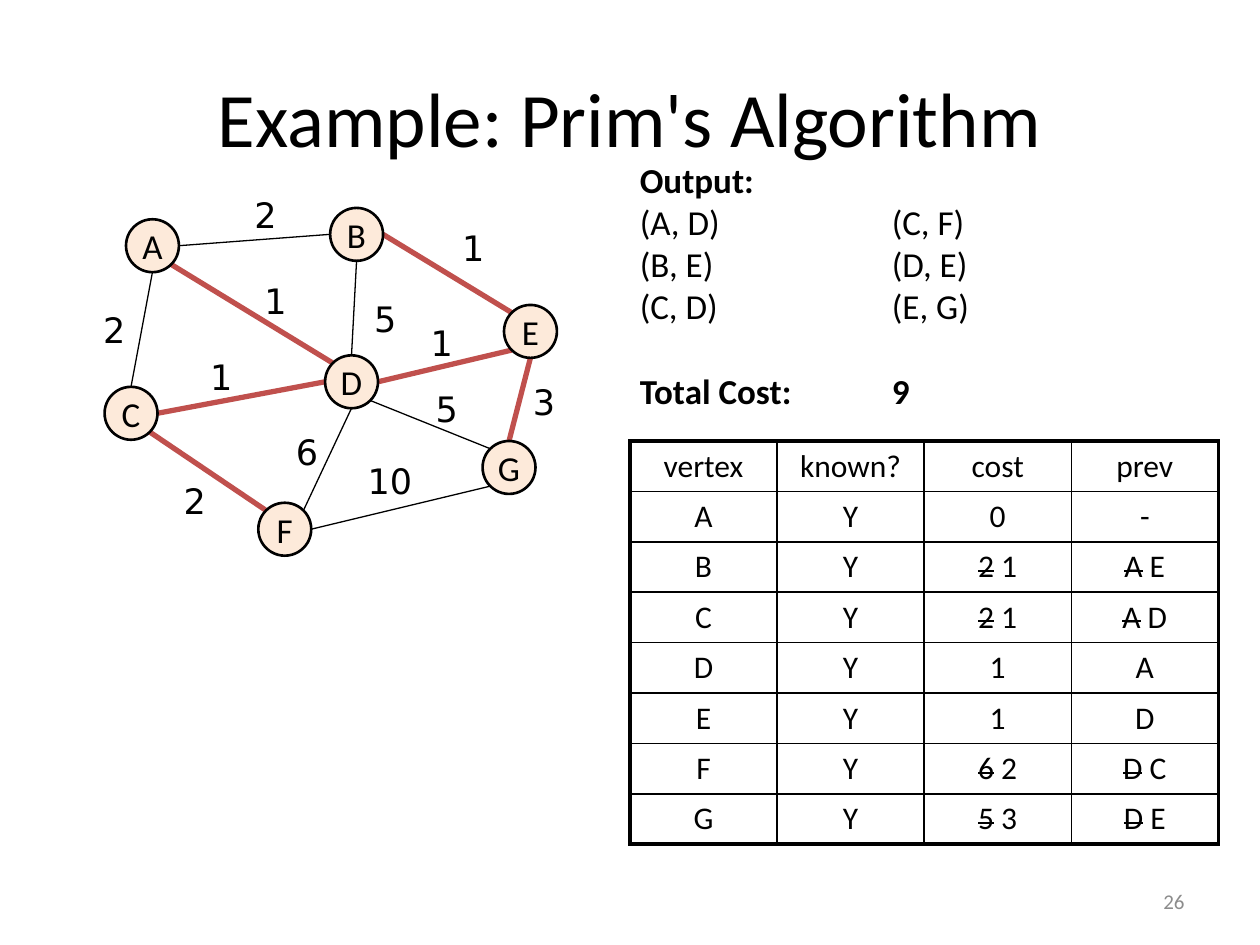
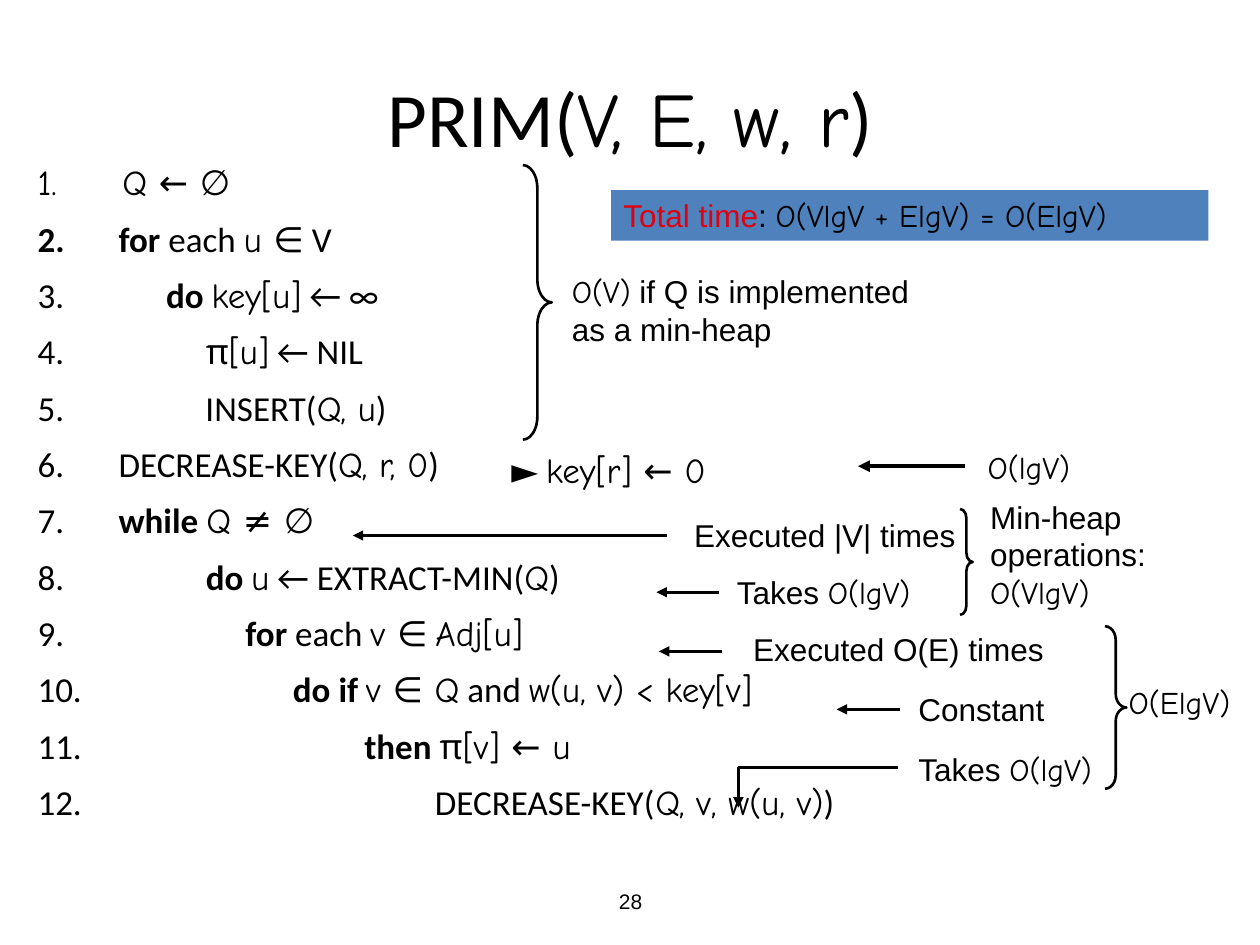
from math import cos, radians, sin

from lxml import etree
from pptx import Presentation
from pptx.dml.color import RGBColor
from pptx.enum.shapes import MSO_CONNECTOR, MSO_SHAPE
from pptx.enum.text import MSO_ANCHOR, PP_ALIGN
from pptx.oxml.ns import qn
from pptx.util import Inches, Pt

STRAIGHT = MSO_CONNECTOR.STRAIGHT
OVAL, BRACE, RECTANGLE = MSO_SHAPE.OVAL, MSO_SHAPE.RIGHT_BRACE, MSO_SHAPE.RECTANGLE
TOP, MIDDLE = MSO_ANCHOR.TOP, MSO_ANCHOR.MIDDLE
LEFT, CENTER, RIGHT = PP_ALIGN.LEFT, PP_ALIGN.CENTER, PP_ALIGN.RIGHT

BLACK = RGBColor(0x00, 0x00, 0x00)
GREY = RGBColor(0x8C, 0x8C, 0x8C)
TREE_RED = RGBColor(0xC0, 0x50, 0x4D)
NODE_CREAM = RGBColor(0xFD, 0xEA, 0xDA)
TOTAL_BLUE = RGBColor(0x4F, 0x81, 0xBD)
TOTAL_RED = RGBColor(0xDD, 0x01, 0x11)

BODY, NOTE, FORMULA, WEIGHT = "Calibri", "Arial", "Comic Neue", "DejaVu Sans"
MATH = {"name": FORMULA}
BOLD = {"bold": True}
STRUCK = {"strike": True}
RED = {"color": TOTAL_RED}

NODE_SIZE = 0.42
NODES = {
    "A": (1, 1.74), "B": (2.62, 1.65), "C": (0.83, 3.07), "D": (2.58, 2.82),
    "F": (2.05, 3.99), "E": (4, 2.42), "G": (3.83, 3.5),
}
ANGLES = {"e": 0, "se": 45, "s": 90, "sw": 135, "w": 180, "nw": 225, "n": 270, "ne": 315}
EDGES = [
    ("A", "s", "C", "n", "2", (0.72, 2.4), False),
    ("B", "w", "A", "e", "2", (1.92, 1.49), False),
    ("D", "n", "B", "s", "5", (2.87, 2.31), False),
    ("A", "se", "D", "nw", "1", (2, 2.17), True),
    ("C", "e", "D", "w", "1", (1.57, 2.77), True),
    ("D", "e", "E", "sw", "1", (3.32, 2.5), True),
    ("E", "nw", "B", "e", "1", (3.57, 1.75), True),
    ("C", "se", "F", "nw", "2", (1.36, 3.76), True),
    ("D", "s", "F", "ne", "6", (2.25, 3.37), False),
    ("D", "se", "G", "nw", "5", (3.36, 3.03), False),
    ("G", "n", "E", "s", "3", (4.13, 2.97), True),
    ("F", "e", "G", "sw", "10", (2.82, 3.6), False),
]
VERTICES = [
    ["vertex", "known?", "cost", "prev"],
    ["A", "Y", "0", "-"],
    ["B", "Y", [("2", STRUCK), " 1"], [("A", STRUCK), " E"]],
    ["C", "Y", [("2", STRUCK), " 1"], [("A", STRUCK), " D"]],
    ["D", "Y", "1", "A"],
    ["E", "Y", "1", "D"],
    ["F", "Y", [("6", STRUCK), " 2"], [("D", STRUCK), " C"]],
    ["G", "Y", [("5", STRUCK), " 3"], [("D", STRUCK), " E"]],
]

PSEUDOCODE = [
    [(" Q ← ∅", MATH)],
    [(" for ", BOLD), "each ", ("u ", MATH), "∈ V"],
    ["       ", ("do ", BOLD), ("key[u]", MATH), " ← ∞"],
    ["            ", ("π[u]", MATH), " ← NIL"],
    ["            INSERT(", ("Q, u", MATH), ")"],
    [" DECREASE-KEY(", ("Q, r, 0", MATH), ")"],
    [" ", ("while ", BOLD), ("Q ≠ ∅", MATH)],
    ["            ", ("do ", BOLD), ("u", MATH), " ← EXTRACT-MIN(", ("Q", MATH), ")"],
    ["                 ", ("for ", BOLD), "each ", ("v ", MATH), "∈ ", ("Adj[u]", MATH)],
    ["                       ", ("do if ", BOLD), ("v ∈ Q", MATH), " and ",
     ("w(u, v) < key[v]", MATH)],
    ["                                ", ("then ", BOLD), ("π[v] ← u", MATH)],
    ["                                         DECREASE-KEY(",
     ("Q, v, w(u, v)", MATH), ")"],
]
TAKES_LOG = ["Takes ", ("O(lgV)", MATH)]
COST_NOTES = [
    ((4.44, 2.11, 3.14, 0.7), [[("O(V)", MATH), " if Q is implemented as a min-heap"]]),
    ((5.41, 4.05, 2.35, 0.4), ["Executed |V| times"]),
    ((5.75, 4.5, 1.78, 0.4), [TAKES_LOG]),
    ((7.76, 3.9, 1.8, 1), ["Min-heap operations:", [("O(VlgV)", MATH)]]),
    ((5.88, 4.95, 2.57, 0.4), ["Executed O(E) times"]),
    ((7.19, 5.43, 1.28, 0.4), ["Constant"]),
    ((7.19, 5.9, 1.78, 0.4), [TAKES_LOG]),
    ((8.86, 5.37, 1.14, 0.4), [[("O(ElgV)", MATH)]]),
    ((7.74, 3.51, 1.2, 0.4), [[("O(lgV)", MATH)]]),
]
COST_ARROWS = [
    ((5.29, 4.25), (2.8, 4.25), 1.5),
    ((5.71, 4.7), (5.21, 4.7), 1.5),
    ((5.73, 5.17), (5.23, 5.17), 1.5),
    ((7.14, 5.63), (6.64, 5.63), 1.5),
    ((5.86, 6.09), (5.86, 6.41), 1.5),
    ((7.66, 3.7), (6.81, 3.7), 2.25),
]
COST_BRACES = [
    ((4.15, 1.31, 0.23, 2.18), 0.8),
    ((7.62, 4.04, 0.1, 0.84), 0.72),
    ((8.77, 4.97, 0.17, 1.29), 0.64),
]


def node_site(node, side):
    """Return the point on a node's rim at a compass side."""
    left, top = NODES[node]
    radius, angle = NODE_SIZE / 2, radians(ANGLES[side])
    return left + radius * (1 + cos(angle)), top + radius * (1 + sin(angle))


class LectureDeck:
    """Holds the lecture's style and the slide being filled."""

    def __init__(self):
        self.deck = Presentation()
        self.deck.slide_width, self.deck.slide_height = Inches(10), Inches(7.5)
        self.shapes = None

    def start_slide(self, title):
        self.shapes = self.deck.slides.add_slide(self.deck.slide_layouts[6]).shapes
        self.text((0.5, 0.3, 9, 1.25), [title], size=44, align=CENTER, anchor=MIDDLE)

    def fill_paragraph(self, paragraph, content, size, font=BODY, color=BLACK, align=LEFT):
        paragraph.alignment = align
        paragraph.font.size = Pt(size)
        paragraph.font.name = font
        paragraph.font.color.rgb = color
        for part in [content] if isinstance(content, str) else content:
            words, look = (part, {}) if isinstance(part, str) else part
            run = paragraph.add_run()
            run.text = words
            if "name" in look:
                run.font.name = look["name"]
            if "bold" in look:
                run.font.bold = look["bold"]
            if "color" in look:
                run.font.color.rgb = look["color"]
            if "strike" in look:
                run.font._element.set("strike", "sngStrike")

    def fill_frame(self, frame, paragraphs, anchor=TOP, wrap=True, tab=None, numbered=False,
                   **style):
        frame.word_wrap = wrap
        frame.vertical_anchor = anchor
        for index, content in enumerate(paragraphs):
            paragraph = frame.add_paragraph() if index else frame.paragraphs[0]
            properties = paragraph._p.get_or_add_pPr()
            if numbered:
                properties.set("marL", str(Inches(0.58)))
                properties.set("indent", str(-Inches(0.58)))
                etree.SubElement(properties, qn("a:buAutoNum"), type="arabicPeriod")
                paragraph.line_spacing = 1.2
                if index:
                    paragraph.space_before = Pt(3.4)
            if tab:
                stops = etree.SubElement(properties, qn("a:tabLst"))
                etree.SubElement(stops, qn("a:tab"), pos=str(Inches(tab)), algn="l")
            self.fill_paragraph(paragraph, content, **style)
        return frame

    def text(self, box, paragraphs, **style):
        frame = self.shapes.add_textbox(*map(Inches, box)).text_frame
        return self.fill_frame(frame, paragraphs, **style)

    def shape(self, kind, box, fill=None, line_width=None):
        shape = self.shapes.add_shape(kind, *map(Inches, box))
        shape.shadow.inherit = False
        if fill is None:
            shape.fill.background()
        else:
            shape.fill.solid()
            shape.fill.fore_color.rgb = fill
        if line_width is None:
            shape.line.fill.background()
        else:
            shape.line.color.rgb = BLACK
            shape.line.width = Pt(line_width)
        return shape

    def brace(self, box, curve):
        brace = self.shape(BRACE, box, line_width=1.5)
        brace.adjustments[0] = curve
        brace.adjustments[1] = 0.5

    def line(self, start, end, width, color=BLACK, arrow=False):
        line = self.shapes.add_connector(STRAIGHT, *map(Inches, (*start, *end)))
        line.line.color.rgb = color
        line.line.width = Pt(width)
        if arrow:
            etree.SubElement(line.line._get_or_add_ln(), qn("a:tailEnd"), type="triangle")
        etree.SubElement(line._element.spPr, qn("a:effectLst"))

    def border(self, cell, side, width):
        edge = etree.SubElement(cell._tc.get_or_add_tcPr(), qn(f"a:ln{side}"), w=str(Pt(width)))
        fill = etree.SubElement(edge, qn("a:solidFill"))
        etree.SubElement(fill, qn("a:srgbClr"), val=str(BLACK))

    def table(self, box, rows):
        row_count, column_count = len(rows), len(rows[0])
        table = self.shapes.add_table(row_count, column_count, *map(Inches, box)).table
        table.first_row = table.horz_banding = False
        for column in table.columns:
            column.width = Inches(box[2] / column_count)
        for r, row in enumerate(rows):
            table.rows[r].height = Inches(box[3] / row_count)
            for c, content in enumerate(row):
                cell = table.cell(r, c)
                cell.margin_top = cell.margin_bottom = Inches(0.04)
                cell.vertical_anchor = MIDDLE
                outer = {"L": c == 0, "R": c == column_count - 1,
                         "T": r == 0, "B": r == row_count - 1}
                for side, is_outer in outer.items():
                    self.border(cell, side, 2.25 if is_outer else 1)
                cell.fill.background()
                self.fill_paragraph(cell.text_frame.paragraphs[0], content, 18, align=CENTER)


def build_example(lecture):
    """Draw the worked example with its graph, output and vertex table."""
    lecture.start_slide("Example: Prim's Algorithm")
    for start, start_side, end, end_side, weight, place, in_tree in EDGES:
        width, color = (3, TREE_RED) if in_tree else (0.75, BLACK)
        lecture.line(node_site(start, start_side), node_site(end, end_side), width, color)
        label_width = 0.2 + 0.18 * len(weight)
        lecture.text((*place, label_width, 0.44), [weight], size=20, font=WEIGHT, wrap=False)
    lecture.text((7.17, 6.95, 2.33, 0.4), ["26"], size=12, color=GREY, align=RIGHT,
                 anchor=MIDDLE)
    lecture.table((5, 3.5, 4.67, 3.2), VERTICES)
    for name, place in NODES.items():
        node = lecture.shape(OVAL, (*place, NODE_SIZE, NODE_SIZE), NODE_CREAM, 1.5)
        lecture.fill_frame(node.text_frame, [name], anchor=MIDDLE, wrap=False, size=20,
                           align=CENTER)
    output = lecture.text(
        (4.98, 1.21, 4.6, 2.12),
        [[("Output:", BOLD)], "(A, D)\t(C, F)", "(B, E)\t(D, E)", "(C, D)\t(E, G)",
         [("Total Cost:\t9", BOLD)]],
        size=20, tab=2)
    output.paragraphs[-1].space_before = Pt(24.4)


def build_running_time(lecture):
    """Draw the pseudocode with the cost of each step."""
    lecture.start_slide(["PRIM(", ("V, E, w, r", MATH), ")"])
    lecture.text((3.42, 6.95, 3.17, 0.4), ["28"], size=12, font=NOTE, align=CENTER,
                 anchor=MIDDLE)
    lecture.text((0.2, 1.16, 9.27, 6.12), PSEUDOCODE, size=20, numbered=True)
    lecture.text((3.96, 3.51, 2, 0.44), [["► ", ("key[r] ← 0", MATH)]], size=20)
    for box, curve in COST_BRACES:
        lecture.brace(box, curve)
    for box, paragraphs in COST_NOTES:
        lecture.text(box, paragraphs, size=18, font=NOTE)
    for start, end, width in COST_ARROWS:
        lecture.line(start, end, width, arrow=True)
    lecture.line((5.86, 6.09), (7.13, 6.09), 1.5)
    total = lecture.shape(RECTANGLE, (4.85, 1.51, 4.74, 0.4), TOTAL_BLUE)
    lecture.fill_frame(
        total.text_frame,
        [[("Total time", RED), ": ", ("O(VlgV + ElgV) = O(ElgV)", MATH)]],
        size=18, font=NOTE)


def main():
    """Build both slides and save them."""
    lecture = LectureDeck()
    build_example(lecture)
    build_running_time(lecture)
    lecture.deck.save("out.pptx")


if __name__ == "__main__":
    main()
